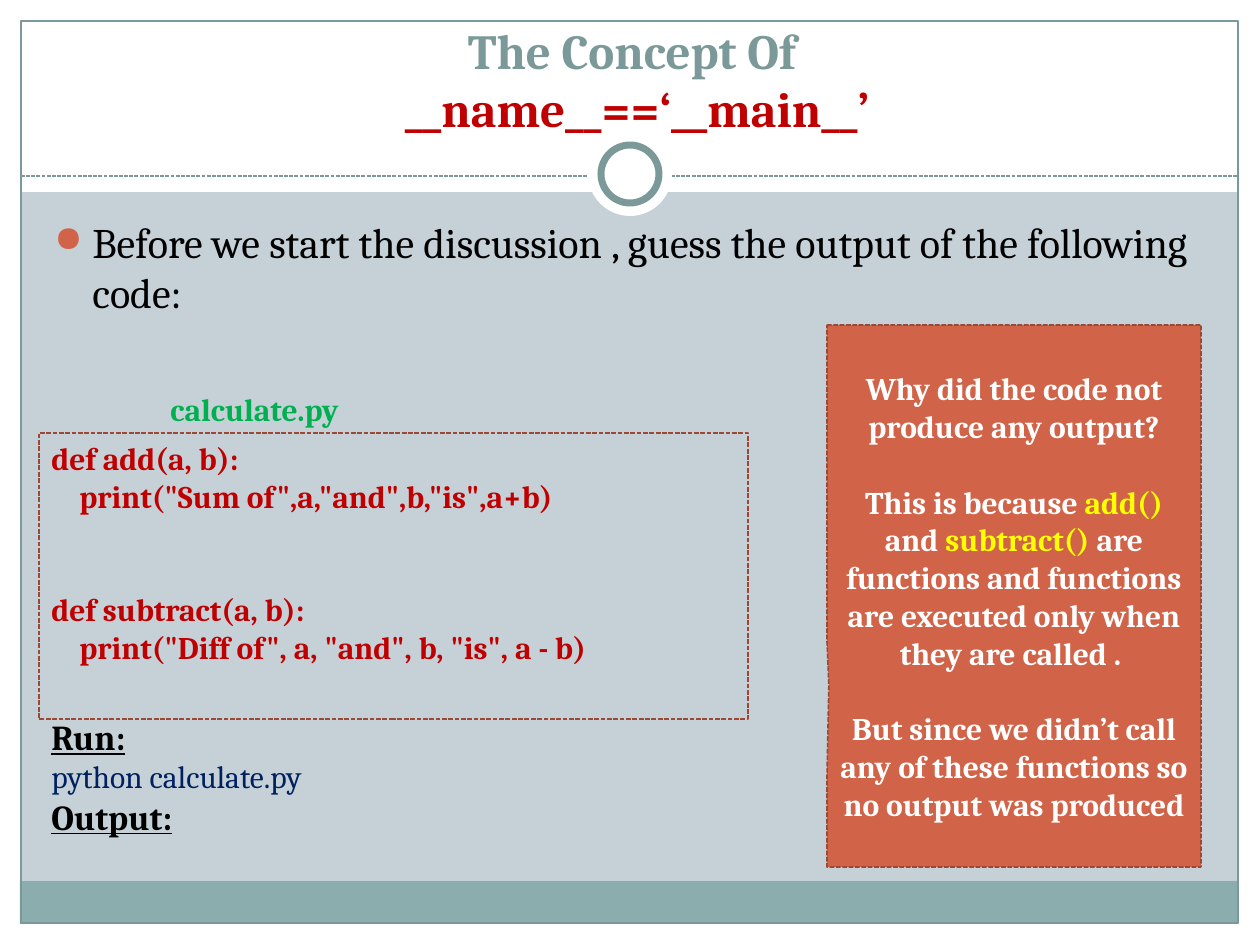
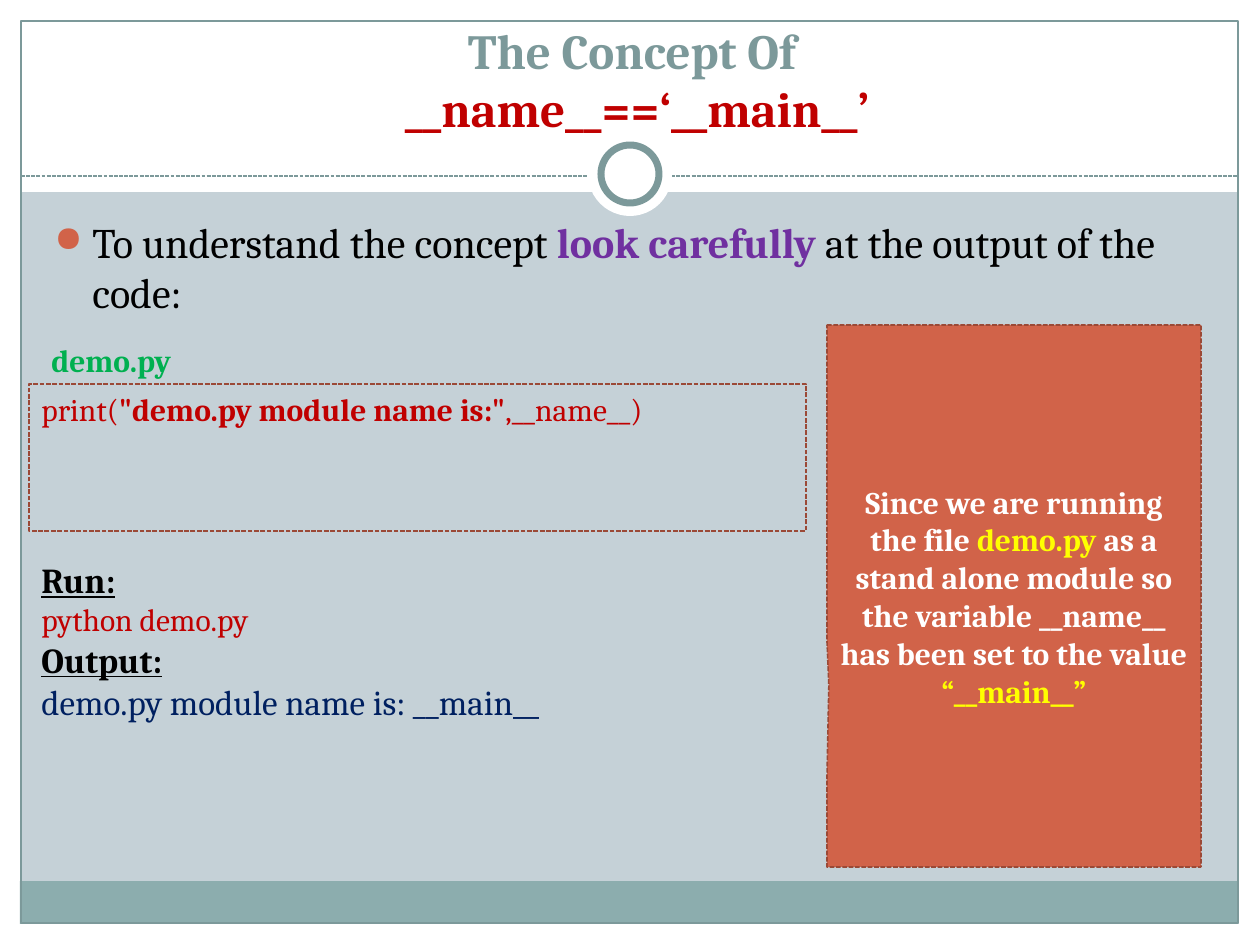
from dataclasses import dataclass
from typing import NamedTuple

from lxml import etree
from pptx import Presentation
from pptx.dml.color import RGBColor
from pptx.enum.dml import MSO_LINE
from pptx.enum.shapes import MSO_CONNECTOR, MSO_SHAPE
from pptx.enum.text import MSO_ANCHOR, MSO_AUTO_SIZE, PP_ALIGN
from pptx.oxml.ns import qn
from pptx.util import Emu, Pt

RECTANGLE = MSO_SHAPE.RECTANGLE
ELLIPSE = MSO_SHAPE.OVAL
CALLOUT = MSO_SHAPE.RECTANGULAR_CALLOUT
STRAIGHT = MSO_CONNECTOR.STRAIGHT
SHORT_DASH = MSO_LINE.SQUARE_DOT
LEFT, CENTER = PP_ALIGN.LEFT, PP_ALIGN.CENTER
TOP, MIDDLE, BOTTOM = MSO_ANCHOR.TOP, MSO_ANCHOR.MIDDLE, MSO_ANCHOR.BOTTOM

FONT = "Cambria"
BACKGROUND = RGBColor(0xC5, 0xD1, 0xD7)
WHITE = RGBColor(0xFF, 0xFF, 0xFF)
BLACK = RGBColor(0x00, 0x00, 0x00)
FOOTER_TEAL = RGBColor(0x8C, 0xAD, 0xAE)
TEAL = RGBColor(0x7C, 0x99, 0x9A)
ORANGE = RGBColor(0xD1, 0x63, 0x49)
BROWN = RGBColor(0x9B, 0x49, 0x36)
RED = RGBColor(0xC0, 0x00, 0x00)
GREEN = RGBColor(0x00, 0xB0, 0x50)
NAVY = RGBColor(0x00, 0x20, 0x60)
PURPLE = RGBColor(0x70, 0x30, 0xA0)
YELLOW = RGBColor(0xFF, 0xFF, 0x00)

PX_PER_INCH = 126
WIDTH, HEIGHT = 1260, 945
MARGIN = 21
CODE_INDENT = 28
BULLET_INDENT = 38
BLANK_LINE = 21.6  # points


class Box(NamedTuple):
    left: int
    top: int
    width: int
    height: int


@dataclass(frozen=True)
class Run:
    """A piece of text; None takes the format of the whole text."""
    text: str
    color: RGBColor | None = None
    bold: bool | None = None
    size: int | None = None
    underline: bool = False
    break_before: bool = False


@dataclass(frozen=True)
class Line:
    runs: tuple[Run, ...]
    space_before: float = 0
    indent: int = 0
    bullet: bool = False


@dataclass(frozen=True)
class Decoration:
    kind: MSO_SHAPE
    box: Box
    fill: RGBColor | None = None
    line: RGBColor | None = None
    line_width: float = 0


@dataclass(frozen=True)
class Lesson:
    intro: tuple[Run, ...]
    file_name: str
    file_name_box: Box
    code: tuple[Line, ...]
    code_frame: Box
    code_text_box: Box
    session: tuple[Line, ...]
    session_box: Box
    explanation: tuple[Line, ...]


DECORATIONS = (
    Decoration(RECTANGLE, Box(0, HEIGHT - MARGIN, WIDTH, MARGIN), WHITE),
    Decoration(RECTANGLE, Box(0, 0, WIDTH, 192), WHITE),
    Decoration(RECTANGLE, Box(0, 0, MARGIN, HEIGHT), WHITE),
    Decoration(RECTANGLE, Box(WIDTH - MARGIN, 0, MARGIN, HEIGHT), WHITE),
    Decoration(RECTANGLE, Box(20, 881, 1217, 43), FOOTER_TEAL),
    Decoration(RECTANGLE, Box(MARGIN, MARGIN, 1217, 902), None, TEAL, 0.75),
)
RING = (
    Decoration(ELLIPSE, Box(588, 132, 84, 84), WHITE),
    Decoration(ELLIPSE, Box(601, 145, 58, 58), WHITE, TEAL, 4),
)
RULE_TOP = 176
TITLE_BOX = Box(49, 39, 1176, 105)
INTRO_BOX = Box(42, 210, 1172, 669)
EXPLANATION_BOX = Box(827, 325, 374, 542)
TITLE = (Line((Run("The Concept Of "),
               Run("__name__==‘__main__’", RED, break_before=True))),)


def plain(text: str, space_before: float = 0, indent: int = 0) -> Line:
    return Line((Run(text),), space_before, indent)


def heading(text: str) -> Line:
    return Line((Run(text, BLACK, True, 20, underline=True),))


LESSONS = (
    Lesson(
        intro=(Run("Before we start the discussion , guess the output of the following code:"),),
        file_name="calculate.py",
        file_name_box=Box(158, 384, 220, 50),
        code=(
            plain("def add(a, b):"),
            plain('print("Sum of",a,"and",b,"is",a+b)', indent=CODE_INDENT),
            plain("def subtract(a, b):", 2 * BLANK_LINE),
            plain('print("Diff of", a, "and", b, "is", a - b)', indent=CODE_INDENT),
        ),
        code_frame=Box(39, 433, 709, 286),
        code_text_box=Box(39, 433, 759, 242),
        session=(heading("Run:"), plain("python calculate.py"), heading("Output:")),
        session_box=Box(39, 709, 299, 178),
        explanation=(
            plain("Why did the code not produce any output?"),
            Line((
                Run("This is because "), Run("add() ", YELLOW),
                Run("and "), Run("subtract() ", YELLOW),
                Run("are functions and functions are executed only when they are called . "),
            ), BLANK_LINE),
            plain("But since we didn’t call any of these functions so no output was produced",
                  BLANK_LINE),
        ),
    ),
    Lesson(
        intro=(Run("To understand the concept "), Run("look carefully ", PURPLE, True),
               Run("at the output of the code:")),
        file_name="demo.py",
        file_name_box=Box(39, 335, 166, 50),
        code=(Line((Run("print(", bold=False), Run('"demo.py module name is:"'),
                    Run(",__name__)", bold=False))),),
        code_frame=Box(29, 384, 777, 147),
        code_text_box=Box(29, 384, 738, 50),
        session=(
            heading("Run:"),
            Line((Run("python demo.py", RED),)),
            heading("Output:"),
            Line((Run("demo.py module name is: __main__", size=20),)),
        ),
        session_box=Box(29, 552, 607, 220),
        explanation=(Line((
            Run("Since we are running the file "), Run("demo.py", YELLOW),
            Run(" as a stand alone module so the variable __name__ has been set to the value "),
            Run("“__main__”", YELLOW),
        )),),
    ),
)


def px(length: int) -> Emu:
    return Emu(round(length * 914400 / PX_PER_INCH))


def emu_box(box: Box) -> tuple[Emu, ...]:
    return tuple(px(length) for length in box)


def indent_paragraph(paragraph, line: Line) -> None:
    properties = paragraph._p.get_or_add_pPr()
    properties.set("marL", str(px(line.indent)))
    if line.bullet:
        properties.set("indent", str(-px(line.indent)))
        color = etree.SubElement(properties, qn("a:buClr"))
        etree.SubElement(color, qn("a:srgbClr"), val=str(ORANGE))
        etree.SubElement(properties, qn("a:buSzPct"), val="85000")
        etree.SubElement(properties, qn("a:buChar"), char="●")


def write_text(text_frame, lines: tuple[Line, ...], *, size: int, color: RGBColor,
               bold: bool = False, align: PP_ALIGN = LEFT, anchor: MSO_ANCHOR = TOP) -> None:
    text_frame.word_wrap = True
    text_frame.auto_size = MSO_AUTO_SIZE.NONE
    text_frame.vertical_anchor = anchor
    for index, line in enumerate(lines):
        paragraph = text_frame.add_paragraph() if index else text_frame.paragraphs[0]
        paragraph.alignment = align
        paragraph.space_before = Pt(line.space_before)
        if line.indent:
            indent_paragraph(paragraph, line)
        for part in line.runs:
            if part.break_before:
                paragraph.add_line_break()
            run = paragraph.add_run()
            run.text = part.text
            font = run.font
            font.name = FONT
            font.size = Pt(part.size or size)
            font.bold = bold if part.bold is None else part.bold
            font.underline = part.underline
            font.color.rgb = part.color or color


def add_text(slide, box: Box, lines: tuple[Line, ...], **text_format) -> None:
    write_text(slide.shapes.add_textbox(*emu_box(box)).text_frame, lines, **text_format)


def draw(slide, decoration: Decoration):
    shape = slide.shapes.add_shape(decoration.kind, *emu_box(decoration.box))
    shape.shadow.inherit = False
    if decoration.fill is None:
        shape.fill.background()
    else:
        shape.fill.solid()
        shape.fill.fore_color.rgb = decoration.fill
    if decoration.line is None:
        shape.line.fill.background()
    else:
        shape.line.color.rgb = decoration.line
        shape.line.width = Pt(decoration.line_width)
    return shape


def draw_dashed(slide, kind: MSO_SHAPE, box: Box, fill: RGBColor | None = None):
    shape = draw(slide, Decoration(kind, box, fill, BROWN, 0.9))
    shape.line.dash_style = SHORT_DASH
    return shape


def add_rule(slide) -> None:
    rule = slide.shapes.add_connector(
        STRAIGHT, px(MARGIN), px(RULE_TOP), px(WIDTH - MARGIN), px(RULE_TOP))
    rule.line.color.rgb = TEAL
    rule.line.width = Pt(0.75)
    rule.line.dash_style = SHORT_DASH
    etree.SubElement(rule._element.spPr, qn("a:effectLst"))


def add_themed_slide(presentation):
    """Add a slide with the shared background, bands, ring and title."""
    slide = presentation.slides.add_slide(presentation.slide_layouts[5])
    slide.background.fill.solid()
    slide.background.fill.fore_color.rgb = BACKGROUND
    for decoration in DECORATIONS:
        draw(slide, decoration)
    add_rule(slide)
    for circle in RING:
        draw(slide, circle)
    title = slide.shapes.title
    title.left, title.top, title.width, title.height = emu_box(TITLE_BOX)
    write_text(title.text_frame, TITLE, size=28, color=TEAL, bold=True,
               align=CENTER, anchor=BOTTOM)
    slide.shapes._spTree.append(title._element)  # bring in front of the top band
    return slide


def add_lesson(presentation, lesson: Lesson) -> None:
    slide = add_themed_slide(presentation)
    intro = Line(lesson.intro, 4.8, BULLET_INDENT, bullet=True)
    add_text(slide, INTRO_BOX, (intro,), size=24, color=BLACK)
    draw_dashed(slide, RECTANGLE, lesson.code_frame)
    add_text(slide, lesson.file_name_box, (plain(lesson.file_name),),
             size=18, color=GREEN, bold=True)
    add_text(slide, lesson.code_text_box, lesson.code, size=18, color=RED, bold=True)
    add_text(slide, lesson.session_box, lesson.session, size=18, color=NAVY)
    callout = draw_dashed(slide, CALLOUT, EXPLANATION_BOX, ORANGE)
    callout.adjustments[0] = -0.495
    callout.adjustments[1] = 0.166
    write_text(callout.text_frame, lesson.explanation, size=18, color=WHITE, bold=True,
               align=CENTER, anchor=MIDDLE)


def main() -> None:
    presentation = Presentation()
    presentation.slide_width, presentation.slide_height = px(WIDTH), px(HEIGHT)
    for lesson in LESSONS:
        add_lesson(presentation, lesson)
    presentation.save("out.pptx")


if __name__ == "__main__":
    main()
